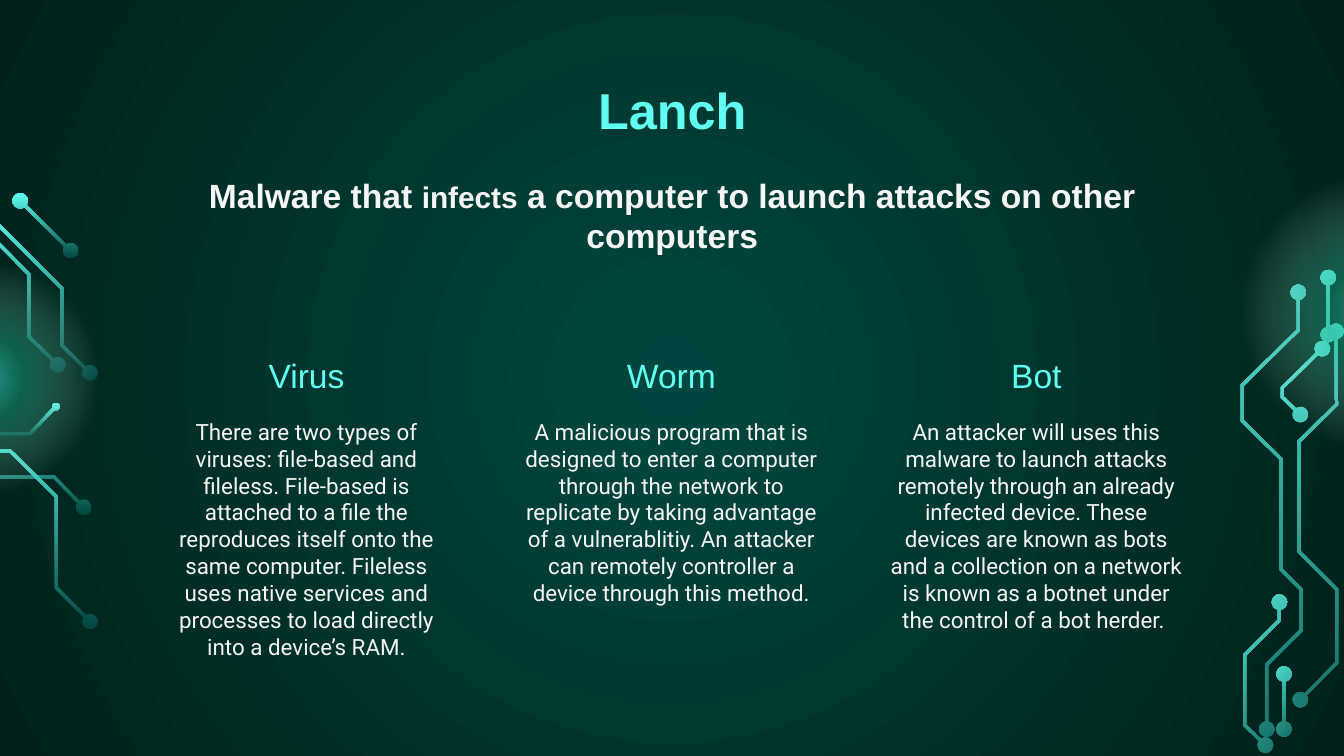
"""Build a slide on launch malware with circuit traces at both sides."""
import math
from dataclasses import dataclass

from lxml import etree
from pptx import Presentation
from pptx.dml.color import RGBColor
from pptx.enum.shapes import MSO_SHAPE
from pptx.enum.text import MSO_ANCHOR, PP_ALIGN
from pptx.util import Pt

OVAL = MSO_SHAPE.OVAL
TOP, BOTTOM = MSO_ANCHOR.TOP, MSO_ANCHOR.BOTTOM
CENTER = PP_ALIGN.CENTER
DRAWING = "http://schemas.openxmlformats.org/drawingml/2006/main"
RADIAL = '<a:path path="circle"><a:fillToRect l="50000" t="50000" r="50000" b="50000"/></a:path>'
DOWNWARD = '<a:lin ang="5400000" scaled="0"/>'


@dataclass(frozen=True)
class Theme:
    bright: str = "5FFFF1"
    deep: str = "00483F"
    night: str = "00211A"
    green: str = "21C79D"
    white: str = "FFFFFF"
    text: str = "F5F5F5"
    branch_light: str = "55E8DA"
    branch_dark: str = "39B9AA"
    heading_font: str = "Arial"
    body_font: str = "Roboto"
    title_size: float = 27
    heading_size: float = 18
    small_heading_size: float = 16
    body_size: float = 12
    half_line: float = 0.8
    dot: float = 4.1
    small_dot: float = 2


class Painter:
    def __init__(self, page, theme):
        self.page = page
        self.theme = theme

    def gradient(self, fill, root, stops, shade):
        fill.gradient()
        marks = "".join(
            f'<a:gs pos="{place * 1000}"><a:srgbClr val="{color}">'
            f'<a:alpha val="{alpha * 1000}"/></a:srgbClr></a:gs>'
            for place, color, alpha in stops
        )
        paint = etree.fromstring(
            f'<a:gradFill xmlns:a="{DRAWING}" rotWithShape="1">'
            f"<a:gsLst>{marks}</a:gsLst>{shade}</a:gradFill>"
        )
        old = root.xpath(".//a:gradFill")[0]
        old.getparent().replace(old, paint)

    def background(self):
        stops = [(0, self.theme.deep, 100), (100, self.theme.night, 100)]
        self.gradient(self.page.background.fill, self.page._element, stops, RADIAL)

    def finish(self, shape, stops, shade):
        shape.shadow.inherit = False
        shape.line.fill.background()
        self.gradient(shape.fill, shape._element, stops, shade)

    def glow(self, left, top, size):
        theme = self.theme
        oval = self.page.shapes.add_shape(OVAL, Pt(left), Pt(top), Pt(size), Pt(size))
        stops = [(0, theme.bright, 55), (23, theme.green, 37), (62, theme.white, 0), (100, theme.white, 0)]
        self.finish(oval, stops, RADIAL)

    def side(self, route, start_dot, end_dot, radius):
        half = self.theme.half_line
        steps = [(b - a) / abs(b - a) for a, b in zip(route, route[1:])]
        before, after = steps[:1] + steps, steps + steps[-1:]
        edge = []
        for point, first, second in zip(route, before, after):
            cosine = (first * second.conjugate()).real
            edge.append(point + 1j * half * (first + second) / (1 + cosine))
        if start_dot:
            edge = edge[1:]
        if end_dot:
            reach = math.pi - math.asin(half / radius)
            turns = [reach * (1 - k / 8) for k in range(17)]
            arc = [route[-1] + radius * steps[-1] * complex(math.cos(t), math.sin(t)) for t in turns]
            edge = edge[:-1] + arc
        return edge

    def trace(self, points, angle, end_dot=True, radius=None, colors=None):
        radius = radius or self.theme.dot
        dark, light = colors or (self.theme.deep, self.theme.bright)
        route = [complex(x, y) for x, y in points]
        outline = self.side(route, True, end_dot, radius) + self.side(route[::-1], end_dot, True, radius)
        turn = complex(math.cos(math.radians(angle)), math.sin(math.radians(angle)))
        upright = [point * turn.conjugate() for point in outline]
        corners = [(Pt(point.real), Pt(point.imag)) for point in upright]
        builder = self.page.shapes.build_freeform(*corners[0])
        builder.add_line_segments(corners[1:], close=True)
        shape = builder.convert_to_shape()
        middle = complex(shape.left + shape.width / 2, shape.top + shape.height / 2) * turn
        shape.left = round(middle.real - shape.width / 2)
        shape.top = round(middle.imag - shape.height / 2)
        shape.rotation = angle
        self.finish(shape, [(0, dark, 100), (100, light, 100)], DOWNWARD)

    def text(self, frame, spans, font, color, bold=False, anchor=TOP):
        box = self.page.shapes.add_textbox(*(Pt(length) for length in frame))
        body = box.text_frame
        body.word_wrap = True
        body.vertical_anchor = anchor
        body.margin_left = body.margin_right = body.margin_top = body.margin_bottom = Pt(7.2)
        para = body.paragraphs[0]
        para.alignment = CENTER
        for words, size in spans:
            span = para.add_run()
            span.text = words
            span.font.name = font
            span.font.size = Pt(size)
            span.font.bold = bold
            span.font.color.rgb = RGBColor.from_string(color)


LEFT_TRACES = [
    ([(44.8, 271.8), (29, 255.6), (-29.9, 255.6), (-58.3, 226.8), (-58.3, 217.4)], False),
    ([(48.2, 199.8), (33.1, 185), (33.1, 154.4), (-9.7, 111.6), (-37.8, 111.6)], True),
    ([(48.2, 333), (30.2, 315), (30.2, 266), (5.4, 241.6), (-54, 241.6), (-76.3, 219.6), (-76.3, 216.7)], False),
    ([(31, 195.5), (15.5, 180.4), (15.5, 146.9), (-14.8, 116.3)], True),
]
SMALL_TRACE = [(29.9, 217.8), (15.8, 232.6), (-33.5, 232.6), (-40.7, 225.4)]
SHORT_TRACE = [(37.8, 134.3), (10.8, 107.6)]
RIGHT_TRACES = [
    [(715.7, 177.5), (716, 216.7), (695.9, 236.5), (695.9, 295.6), (716, 315.7), (716, 355.3), (696.6, 374.8)],
    [(695.5, 156.6), (695.5, 176.8), (665.6, 206.3), (665.6, 225.4), (686.2, 245.9), (686.2, 304.9),
     (697, 315.7), (697, 337.7), (678.6, 356), (678.6, 390.6)],
]
BRANCHES = [
    [(711.5, 148.7), (711.5, 179.3)],
    [(708.4, 186.8), (686.9, 207.7), (686.9, 212.8), (696.6, 222.1)],
]
LOWER_TRACES = [
    [(687.8, 361.1), (687.8, 390.6)],
    [(685.4, 322.6), (685.4, 332.3), (666.7, 351), (666.7, 388.4), (677.9, 399.2)],
]
COLUMNS = [
    ("Virus", "There are two types of viruses: file-based and fileless. File-based is attached to a file the "
     "reproduces itself onto the same computer. Fileless uses native services and processes to load directly "
     "into a device’s RAM."),
    ("Worm", "A malicious program that is designed to enter a computer through the network to replicate by "
     "taking advantage of a vulnerablitiy. An attacker can remotely controller a device through this method."),
    ("Bot", "An attacker will uses this malware to launch attacks remotely through an already infected device. "
     "These devices are known as bots and a collection on a network is known as a botnet under the control of "
     "a bot herder. "),
]


def main():
    theme = Theme()
    deck = Presentation()
    deck.slide_width, deck.slide_height = Pt(720), Pt(405)
    painter = Painter(deck.slides.add_slide(deck.slide_layouts[6]), theme)
    painter.background()
    for points, end_dot in LEFT_TRACES:
        painter.trace(points, 180, end_dot)
    painter.trace(SMALL_TRACE, 180, False, theme.small_dot)
    painter.trace(SHORT_TRACE, 180)
    for points in RIGHT_TRACES:
        painter.trace(points, 135)
    for points in BRANCHES:
        painter.trace(points, 135, colors=(theme.branch_dark, theme.branch_light))
    painter.glow(-80.6, 131.8, 141.8)
    painter.glow(654.5, 82.8, 168.5)

    painter.text((56.7, 35.3, 607, 45.4), [("Lanch", theme.title_size)], theme.heading_font, theme.bright, True)
    for index, (heading, body) in enumerate(COLUMNS):
        left = 78.5 + index * 195.5
        painter.text((left, 157.7, 171.4, 61.2), [(heading, theme.heading_size)],
                     theme.heading_font, theme.bright, anchor=BOTTOM)
        painter.text((left, 216.7, 171.4, 148.3), [(body, theme.body_size)], theme.body_font, theme.text)
    for points in LOWER_TRACES:
        painter.trace(points, 135)
    intro = [
        ("Malware that ", theme.heading_size),
        ("infects", theme.small_heading_size),
        (" a computer to launch attacks on other computers", theme.heading_size),
    ]
    painter.text((56.7, 86.4, 607, 45.4), intro, theme.heading_font, theme.text, True)
    deck.save("out.pptx")


if __name__ == "__main__":
    main()
